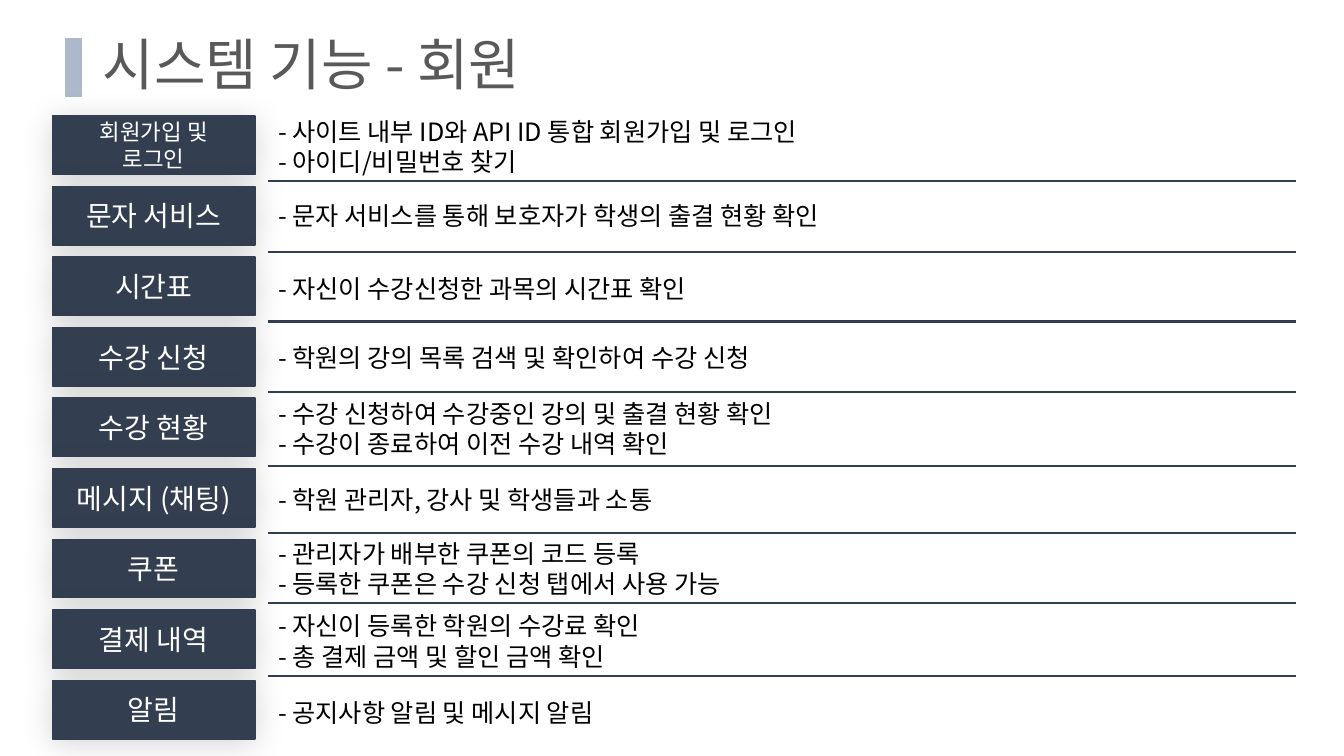
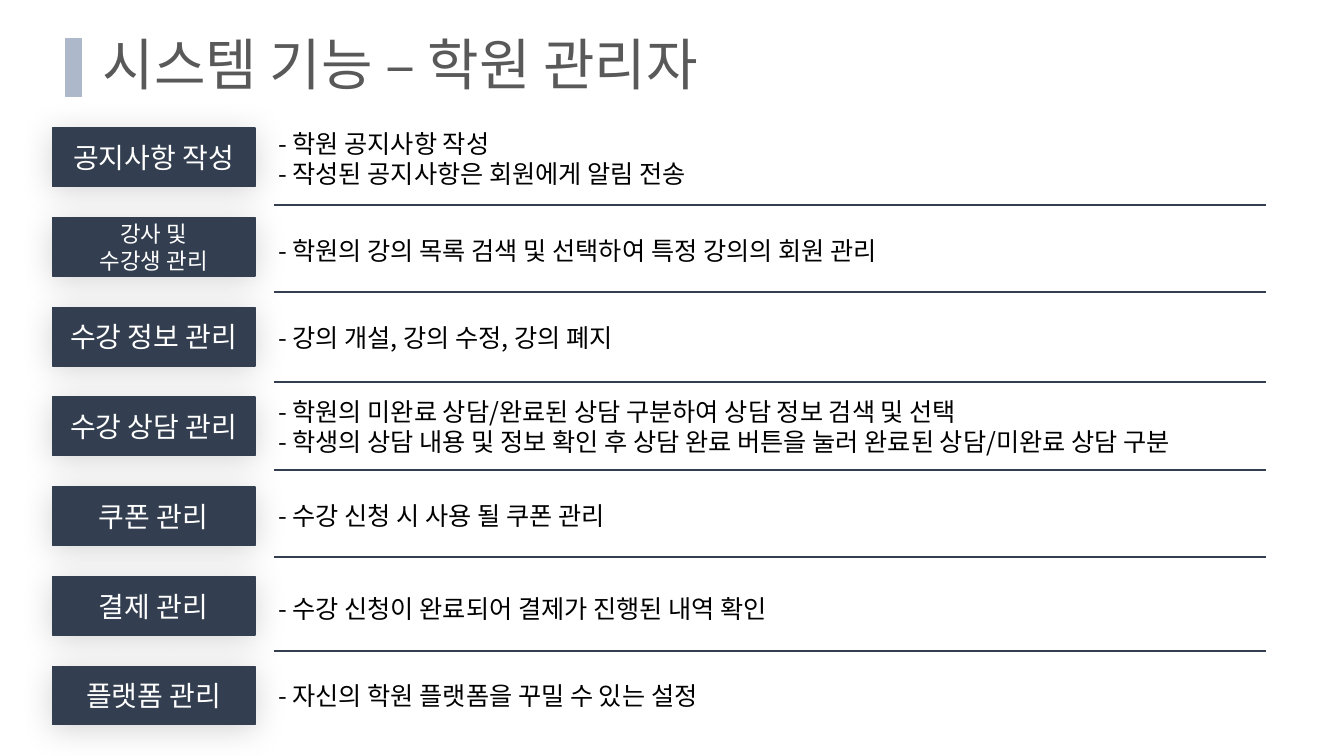
"""Build two slides that list the system functions for members and academy managers."""
from lxml import etree
from pptx import Presentation
from pptx.dml.color import RGBColor
from pptx.enum.shapes import MSO_CONNECTOR as Conn, MSO_SHAPE as Shape
from pptx.enum.text import MSO_ANCHOR as Anchor, PP_ALIGN as Align
from pptx.oxml import parse_xml
from pptx.oxml.ns import nsdecls, qn
from pptx.util import Inches, Pt

FONT = "Noto Sans CJK KR"
NAVY, BAR, GREY, WHITE, BLACK = "333F50", "ADB9CA", "595959", "FFFFFF", "000000"
SHADOW = (
    f'<a:effectLst {nsdecls("a")}><a:outerShdw blurRad="{Pt(23)}" dist="{Pt(3)}" '
    'dir="5400000" algn="t" rotWithShape="0"><a:srgbClr val="000000">'
    '<a:alpha val="16000"/></a:srgbClr></a:outerShdw></a:effectLst>'
)

# fmt: off
SLIDES = [
    {
        "title": "시스템 기능 - 회원", "top": 1.15, "pitch": 0.7, "rule": (2.66, 12.85),
        "rows": [
            ("회원가입 및\n로그인", 1.1, 1.8,
             "- 사이트 내부 ID와 API ID 통합 회원가입 및 로그인\n- 아이디/비밀번호 찾기"),
            ("문자 서비스", 1.94, 2.5, "- 문자 서비스를 통해 보호자가 학생의 출결 현황 확인"),
            ("시간표", 2.66, 3.19, "- 자신이 수강신청한 과목의 시간표 확인"),
            ("수강 신청", 3.35, 3.89, "- 학원의 강의 목록 검색 및 확인하여 수강 신청"),
            ("수강 현황", 3.9, 4.62,
             "- 수강 신청하여 수강중인 강의 및 출결 현황 확인\n- 수강이 종료하여 이전 수강 내역 확인"),
            ("메시지 (채팅)", 4.76, 5.29, "- 학원 관리자, 강사 및 학생들과 소통"),
            ("쿠폰", 5.29, 5.98,
             "- 관리자가 배부한 쿠폰의 코드 등록\n- 등록한 쿠폰은 수강 신청 탭에서 사용 가능"),
            ("결제 내역", 6.01, 6.71,
             "- 자신이 등록한 학원의 수강료 확인\n- 총 결제 금액 및 할인 금액 확인"),
            ("알림", 6.87, None, "- 공지사항 알림 및 메시지 알림"),
        ],
    },
    {
        "title": "시스템 기능 – 학원 관리자", "top": 1.27, "pitch": 0.89, "rule": (2.72, 12.56),
        "rows": [
            ("공지사항 작성", 1.22, 2.03,
             "- 학원 공지사항 작성\n- 작성된 공지사항은 회원에게 알림 전송"),
            ("강사 및\n수강생 관리", 2.29, 2.9,
             "- 학원의 강의 목록 검색 및 선택하여 특정 강의의 회원 관리"),
            ("수강 정보 관리", 3.15, 3.79, "- 강의 개설, 강의 수정, 강의 폐지"),
            ("수강 상담 관리", 3.88, 4.66,
             "- 학원의 미완료 상담/완료된 상담 구분하여 상담 정보 검색 및 선택\n"
             "- 학생의 상담 내용 및 정보 확인 후 상담 완료 버튼을 눌러 완료된 상담/미완료 상담 구분"),
            ("쿠폰 관리", 4.91, 5.53, "- 수강 신청 시 사용 될 쿠폰 관리"),
            ("결제 관리", 5.84, 6.46, "- 수강 신청이 완료되어 결제가 진행된 내역 확인"),
            ("플랫폼 관리", 6.7, None, "- 자신의 학원 플랫폼을 꾸밀 수 있는 설정"),
        ],
    },
]
# fmt: on


def color(code):
    return RGBColor.from_string(code)


def write(shape, text, size, code, align=Align.LEFT, space=None):
    frame = shape.text_frame
    frame.text = text
    for para in frame.paragraphs:
        para.alignment = align
        para.line_spacing = space or Pt(size * 1.2)
        for run in para.runs:
            run.font.size = Pt(size)
            run.font.name = FONT
            run.font.color.rgb = color(code)
            etree.SubElement(run.font._element, qn("a:ea"), typeface=FONT)
    return frame


prs = Presentation()
prs.slide_width, prs.slide_height = Inches(13.33), Inches(7.5)

for page in SLIDES:
    slide = prs.slides.add_slide(prs.slide_layouts[6])
    shapes = slide.shapes
    title = shapes.add_textbox(Inches(0.92), Inches(0.32), Inches(11.5), Inches(0.7))
    frame = write(title, page["title"], 40, GREY, space=0.9)
    frame.word_wrap = True
    frame.vertical_anchor = Anchor.MIDDLE

    bar = shapes.add_shape(Shape.RECTANGLE, Inches(0.65), Inches(0.38), Inches(0.16), Inches(0.58))
    bar.shadow.inherit = False
    bar.fill.solid()
    bar.fill.fore_color.rgb = bar.line.color.rgb = color(BAR)
    bar.line.width = Pt(1)

    left, right = page["rule"]
    for row, (label, top, rule, text) in enumerate(page["rows"]):
        y = page["top"] + row * page["pitch"]
        box = shapes.add_shape(Shape.RECTANGLE, Inches(0.52), Inches(y), Inches(2.01), Inches(0.58))
        box.fill.solid()
        box.fill.fore_color.rgb = box.line.color.rgb = color(NAVY)
        box.line.width = Pt(1)
        box._element.spPr.append(parse_xml(SHADOW))
        frame = write(box, label, 16 if "\n" in label else 20, WHITE, Align.CENTER)
        frame.word_wrap = False
        frame.vertical_anchor = Anchor.MIDDLE

        high = 0.71 if "\n" in text else 0.4
        note = shapes.add_textbox(Inches(2.66), Inches(top), Inches(10.4), Inches(high))
        write(note, text, 18, BLACK).word_wrap = True

        if rule:
            y = Inches(rule)
            line = shapes.add_connector(Conn.STRAIGHT, Inches(left), y, Inches(right), y)
            line.line.color.rgb = color(NAVY)
            line.line.width = Pt(1.5)
            etree.SubElement(line._element.spPr, qn("a:effectLst"))

prs.save("out.pptx")
